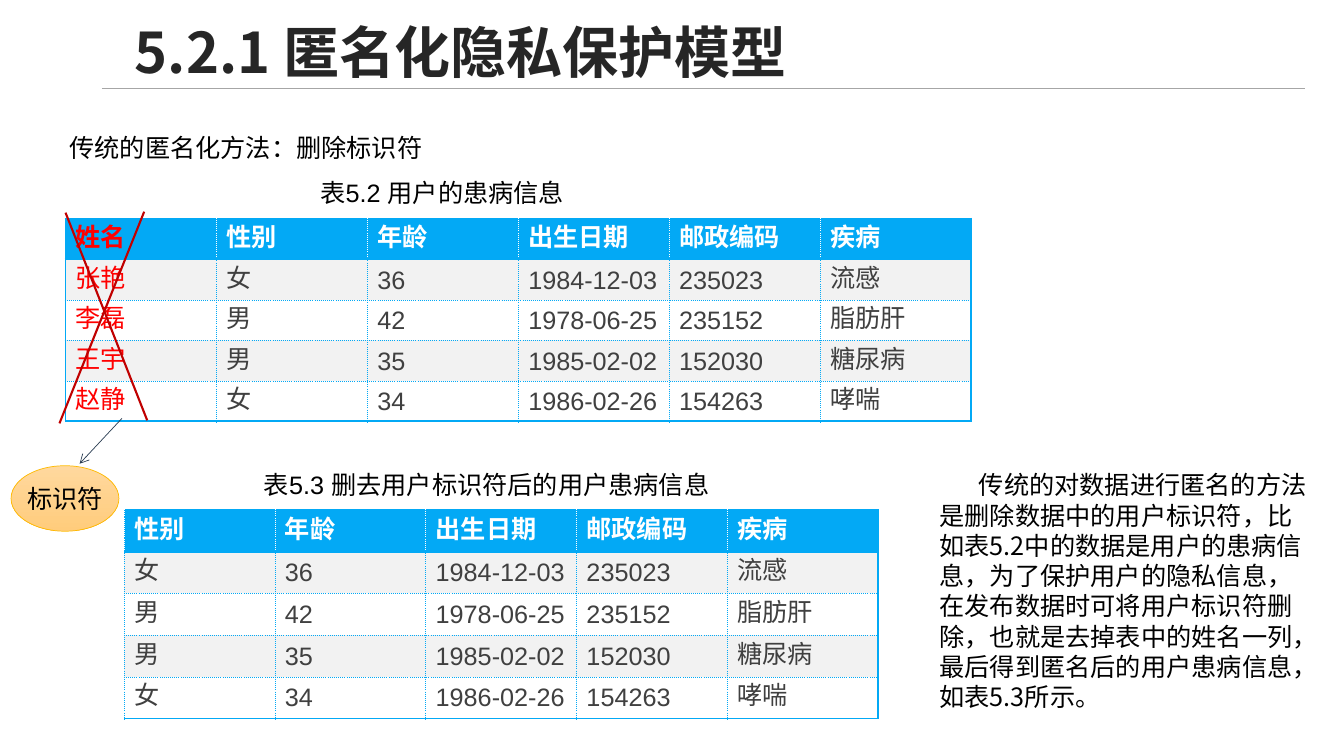
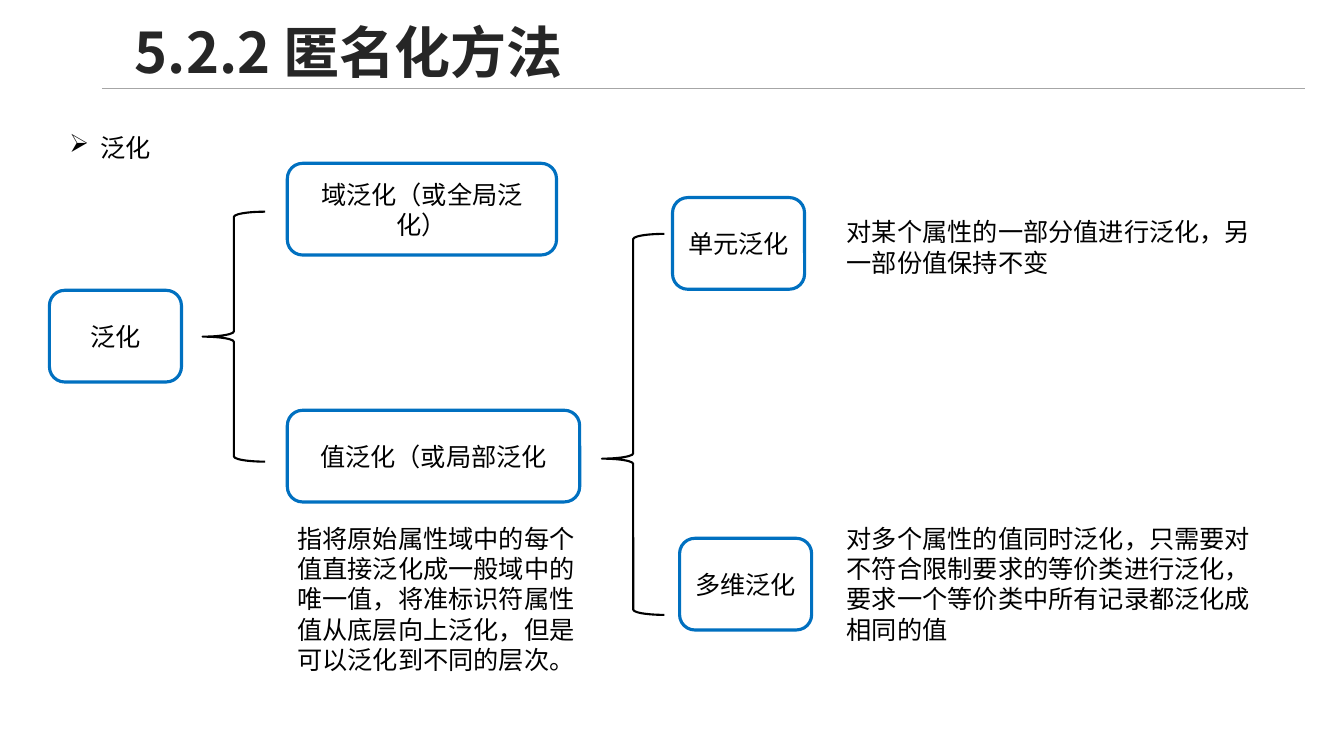
"""Build two slides on anonymization models and generalization methods."""
from lxml.etree import SubElement
from pptx import Presentation
from pptx.dml.color import RGBColor
from pptx.enum.shapes import MSO_CONNECTOR, MSO_SHAPE
from pptx.enum.text import MSO_ANCHOR, PP_ALIGN
from pptx.oxml import parse_xml
from pptx.oxml.ns import nsdecls, qn
from pptx.util import Inches, Pt

BLACK = RGBColor(0x00, 0x00, 0x00)
WHITE = RGBColor(0xFF, 0xFF, 0xFF)
RED = RGBColor(0xFF, 0x00, 0x00)
TITLE_GRAY = RGBColor(0x26, 0x26, 0x26)
CELL_GRAY = RGBColor(0x40, 0x40, 0x40)
BAND_GRAY = RGBColor(0xF2, 0xF2, 0xF2)
RULE_GRAY = RGBColor(0xA6, 0xA6, 0xA6)
TABLE_BLUE = RGBColor(0x03, 0xA9, 0xF5)
BOX_BLUE = RGBColor(0x00, 0x70, 0xC0)
CROSS_RED = RGBColor(0xC0, 0x00, 0x00)
ARROW_NAVY = RGBColor(0x2A, 0x3D, 0x52)
OVAL_EDGE = RGBColor(0xFE, 0xBA, 0x01)
OVAL_TOP = RGBColor(0xFF, 0xD8, 0x9E)
OVAL_BOTTOM = RGBColor(0xFF, 0xCC, 0x7C)
CHINESE_FONT = "Noto Sans CJK SC"
LATIN_FONT = "Arial"


def write_text(frame, text, font=CHINESE_FONT, color=BLACK, size=18, bold=False,
               align=PP_ALIGN.LEFT, spacing=Pt(21.6)):
    frame.word_wrap = True
    paragraph = frame.paragraphs[0]
    paragraph.alignment = align
    paragraph.line_spacing = spacing
    run = paragraph.add_run()
    run.text = text
    run.font.name = font
    run.font.size = Pt(size)
    run.font.bold = bold
    run.font.color.rgb = color
    SubElement(run.font._element, qn("a:ea"), typeface=CHINESE_FONT)
    return paragraph


def add_line(slide, start, end, color, width):
    connector = slide.shapes.add_connector(
        MSO_CONNECTOR.STRAIGHT, *[Inches(value) for value in start + end])
    connector.line.color.rgb = color
    connector.line.width = Pt(width)
    SubElement(connector._element.spPr, qn("a:effectLst"))
    return connector


presentation = Presentation()
presentation.slide_width = Inches(13.33)
presentation.slide_height = Inches(7.5)

slides = []
for title in ["5.2.1 匿名化隐私保护模型", "5.2.2 匿名化方法"]:
    slide = presentation.slides.add_slide(presentation.slide_layouts[6])
    add_line(slide, (1.01, 0.88), (12.94, 0.88), RULE_GRAY, 1)
    box = slide.shapes.add_textbox(Inches(1.24), Inches(0.15), Inches(11.61), Inches(0.79))
    box.text_frame.vertical_anchor = MSO_ANCHOR.MIDDLE
    write_text(box.text_frame, title, color=TITLE_GRAY, size=40, bold=True, spacing=0.9)
    slides.append(slide)
model_slide, method_slide = slides

patients = [
    ["姓名", "性别", "年龄", "出生日期", "邮政编码", "疾病"],
    ["张艳", "女", "36", "1984-12-03", "235023", "流感"],
    ["李磊", "男", "42", "1978-06-25", "235152", "脂肪肝"],
    ["王宇", "男", "35", "1985-02-02", "152030", "糖尿病"],
    ["赵静", "女", "34", "1986-02-26", "154263", "哮喘"],
]
anonymous = [row[1:] for row in patients]

for rows, left, top, width, height in [
    (anonymous, 1.23, 5.06, 7.48, 2.07),
    (patients, 0.65, 2.17, 8.98, 2.01),
]:
    last_row, last_column = len(rows) - 1, len(rows[0]) - 1
    table = model_slide.shapes.add_table(
        len(rows), len(rows[0]), Inches(left), Inches(top), Inches(width), Inches(height)).table
    for row_index, row in enumerate(rows):
        header = row_index == 0
        for column_index, text in enumerate(row):
            cell = table.cell(row_index, column_index)
            named = rows is patients and column_index == 0
            color = RED if named else WHITE if header else CELL_GRAY
            write_text(cell.text_frame, text, LATIN_FONT, color, bold=header)
            cell.fill.solid()
            cell.fill.fore_color.rgb = (
                TABLE_BLUE if header else BAND_GRAY if row_index % 2 else WHITE)
            solid_edges = [
                ("lnL", named),
                ("lnR", column_index == last_column),
                ("lnT", row_index <= 1),
                ("lnB", row_index in (0, last_row)),
            ]
            for position, (edge, solid) in enumerate(solid_edges):
                edge_color = WHITE if header and not solid else TABLE_BLUE
                width_emu = Pt(1.5) if solid else Pt(0.25)
                dash = "solid" if solid else "sysDot"
                cell._tc.get_or_add_tcPr().insert(position, parse_xml(
                    f'<a:{edge} {nsdecls("a")} w="{width_emu}"><a:solidFill>'
                    f'<a:srgbClr val="{edge_color}"/></a:solidFill>'
                    f'<a:prstDash val="{dash}"/></a:{edge}>'))

paragraphs = []
for slide, text, font, left, top, width, height in [
    (model_slide, "传统的匿名化方法：删除标识符", CHINESE_FONT, 0.59, 1.26, 8.33, 0.4),
    (model_slide, "传统的对数据进行匿名的方法是删除数据中的用户标识符，比如表5.2中的数据是用户的患病信息，"
     "为了保护用户的隐私信息，在发布数据时可将用户标识符删除，也就是去掉表中的姓名一列，"
     "最后得到匿名后的用户患病信息，如表5.3所示。", CHINESE_FONT, 9.22, 4.61, 3.92, 2.52),
    (model_slide, "表5.2 用户的患病信息", LATIN_FONT, 3.08, 1.71, 3.35, 0.4),
    (model_slide, "表5.3 删去用户标识符后的用户患病信息", LATIN_FONT, 2.52, 4.61, 4.83, 0.4),
    (method_slide, "指将原始属性域中的每个值直接泛化成一般域中的唯一值，将准标识符属性值从底层向上泛化，"
     "但是可以泛化到不同的层次。", CHINESE_FONT, 2.85, 5.14, 3.07, 1.62),
    (method_slide, "对某个属性的一部分值进行泛化，另一部份值保持不变",
     CHINESE_FONT, 8.3, 2.1, 4.38, 0.71),
    (method_slide, "对多个属性的值同时泛化，只需要对不符合限制要求的等价类进行泛化，"
     "要求一个等价类中所有记录都泛化成相同的值", CHINESE_FONT, 8.3, 5.14, 4.38, 1.31),
    (method_slide, "泛化", CHINESE_FONT, 0.59, 1.26, 8.33, 0.4),
]:
    box = slide.shapes.add_textbox(Inches(left), Inches(top), Inches(width), Inches(height))
    paragraphs.append(write_text(box.text_frame, text, font))

paragraphs[1]._p.get_or_add_pPr().set("indent", str(Inches(0.39)))
bullet_properties = paragraphs[-1]._p.get_or_add_pPr()
bullet_properties.set("marL", str(Inches(0.31)))
bullet_properties.set("indent", str(Inches(-0.31)))
SubElement(bullet_properties, qn("a:buChar"), char="➢")

arrow = add_line(model_slide, (1.21, 4.15), (0.79, 4.6), ARROW_NAVY, 0.5)
SubElement(arrow.line._get_or_add_ln(), qn("a:tailEnd"), type="arrow")
add_line(model_slide, (0.65, 2.11), (1.46, 4.17), CROSS_RED, 1.5)
add_line(model_slide, (1.43, 2.1), (0.59, 4.2), CROSS_RED, 1.5)

oval = model_slide.shapes.add_shape(
    MSO_SHAPE.OVAL, Inches(0.11), Inches(4.62), Inches(1.07), Inches(0.65))
oval.shadow.inherit = False
oval.fill.gradient()
oval.fill.gradient_angle = 270
for stop, color in zip(oval.fill.gradient_stops, [OVAL_TOP, OVAL_BOTTOM]):
    stop.color.rgb = color
oval.line.color.rgb = OVAL_EDGE
oval.line.width = Pt(0.5)
oval.text_frame.vertical_anchor = MSO_ANCHOR.MIDDLE
write_text(oval.text_frame, "标识符", LATIN_FONT, align=PP_ALIGN.CENTER)
oval.text_frame.word_wrap = False

for text, left, top, width in [
    ("泛化", 0.49, 2.88, 1.31),
    ("域泛化（或全局泛化）", 2.85, 1.62, 2.67),
    ("值泛化（或局部泛化", 2.85, 4.07, 2.9),
    ("单元泛化", 6.67, 1.96, 1.31),
    ("多维泛化", 6.74, 5.34, 1.31),
]:
    node = method_slide.shapes.add_shape(
        MSO_SHAPE.ROUNDED_RECTANGLE, Inches(left), Inches(top), Inches(width), Inches(0.91))
    node.shadow.inherit = False
    node.fill.solid()
    node.fill.fore_color.rgb = WHITE
    node.line.color.rgb = BOX_BLUE
    node.line.width = Pt(2.25)
    node.text_frame.vertical_anchor = MSO_ANCHOR.MIDDLE
    write_text(node.text_frame, text, align=PP_ALIGN.CENTER)

for left, top, height, tip in [(2.01, 2.1, 2.48, 0.5), (5.97, 2.32, 3.78, 0.59)]:
    brace = method_slide.shapes.add_shape(
        MSO_SHAPE.LEFT_BRACE, Inches(left), Inches(top), Inches(0.62), Inches(height))
    brace.shadow.inherit = False
    brace.adjustments[1] = tip
    brace.fill.background()
    brace.line.color.rgb = BLACK
    brace.line.width = Pt(1.5)

presentation.save("out.pptx")
